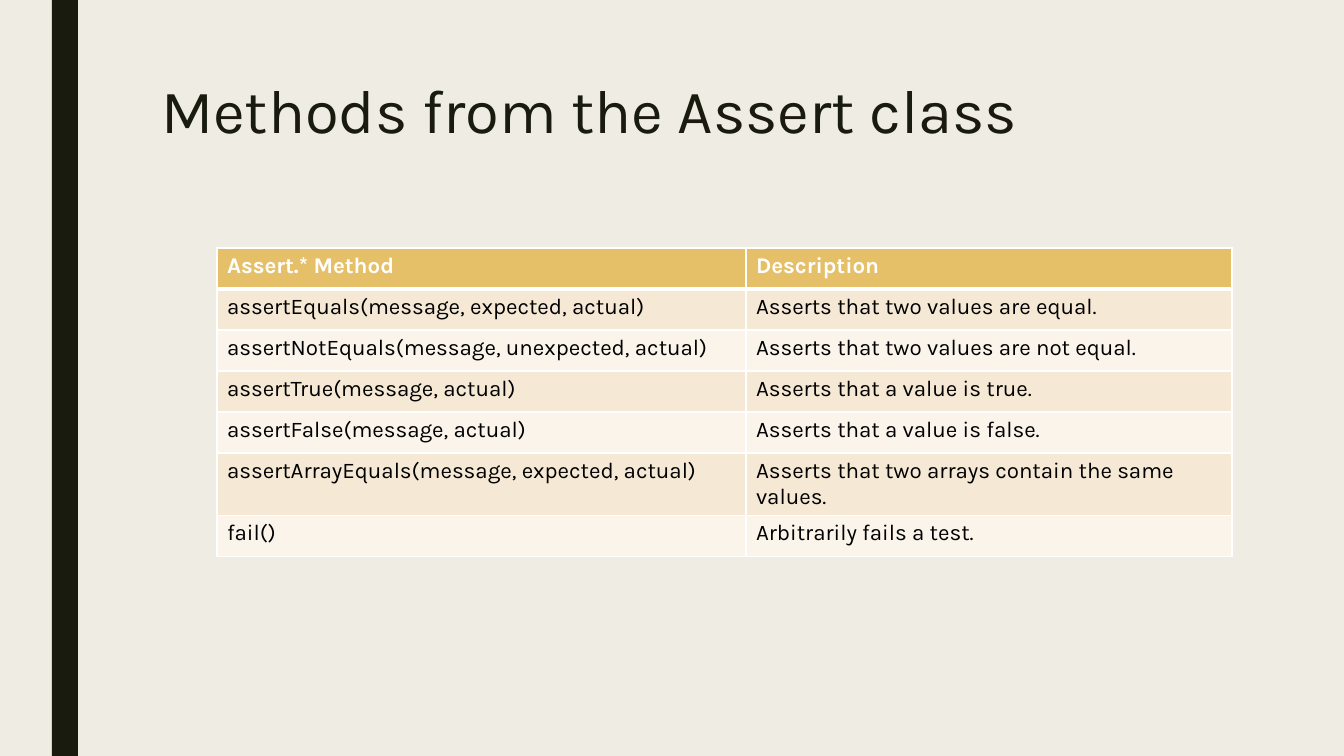
from typing import NamedTuple

from lxml.etree import SubElement
from pptx import Presentation
from pptx.dml.color import RGBColor
from pptx.enum.shapes import MSO_SHAPE as Preset
from pptx.enum.text import MSO_ANCHOR as Anchor, PP_ALIGN as Align
from pptx.oxml.ns import qn
from pptx.slide import Slide
from pptx.table import _Cell as Cell
from pptx.text.text import TextFrame
from pptx.util import Emu, Pt

SLIDE_WIDTH, SLIDE_HEIGHT = 1344, 756
EMU_PER_PX = 12192000 / SLIDE_WIDTH

FONT = "Karla"
CREAM = RGBColor(0xEF, 0xED, 0xE3)
INK = RGBColor(0x19, 0x1B, 0x0E)
GOLD = RGBColor(0xE6, 0xC0, 0x69)
SAND = RGBColor(0xF5, 0xE8, 0xD4)
IVORY = RGBColor(0xFA, 0xF4, 0xEB)
WHITE = RGBColor(0xFF, 0xFF, 0xFF)
BLACK = RGBColor(0x00, 0x00, 0x00)


class Box(NamedTuple):
    left: int
    top: int
    width: int
    height: int


class Method(NamedTuple):
    signature: str
    description: str


BAR = Box(52, 0, 26, SLIDE_HEIGHT)
TITLE = Box(151, 76, 1058, 163)
TABLE_LEFT, TABLE_TOP, ROW_HEIGHT = 217, 248, 41
COLUMN_WIDTHS = (529, 486)
HEADING = Method("Assert.* Method", "Description")
METHODS = (
    Method("assertEquals(message, expected, actual)", "Asserts that two values are equal."),
    Method("assertNotEquals(message, unexpected, actual)", "Asserts that two values are not equal."),
    Method("assertTrue(message, actual)", "Asserts that a value is true."),
    Method("assertFalse(message, actual)", "Asserts that a value is false."),
    Method("assertArrayEquals(message, expected, actual)", "Asserts that two arrays contain the same values."),
    Method("fail()", "Arbitrarily fails a test."),
)


def px(length: int) -> Emu:
    return Emu(round(length * EMU_PER_PX))


def write(frame: TextFrame, text: str, *, size: int, color: RGBColor,
          bold: bool = False, line_spacing: float = 1.0) -> None:
    paragraph = frame.paragraphs[0]
    paragraph.alignment = Align.LEFT
    paragraph.line_spacing = line_spacing
    run = paragraph.add_run()
    run.text = text
    run.font.name = FONT
    run.font.size = Pt(size)
    run.font.bold = bold
    run.font.color.rgb = color


def set_borders(cell: Cell, bottom: int) -> None:
    properties = cell._tc.get_or_add_tcPr()
    for position, (side, points) in enumerate(
            (("lnL", 1), ("lnR", 1), ("lnT", 1), ("lnB", bottom))):
        border = SubElement(properties, qn(f"a:{side}"), w=str(Pt(points)))
        fill = SubElement(border, qn("a:solidFill"))
        SubElement(fill, qn("a:srgbClr"), val=str(WHITE))
        properties.insert(position, border)


def draw_bar(slide: Slide) -> None:
    bar = slide.shapes.add_shape(Preset.RECTANGLE, *map(px, BAR))
    bar.shadow.inherit = False
    bar.fill.solid()
    bar.fill.fore_color.rgb = INK
    bar.line.fill.background()


def draw_title(slide: Slide) -> None:
    title = slide.shapes.title
    title.left, title.top, title.width, title.height = map(px, TITLE)
    title.text_frame.vertical_anchor = Anchor.TOP
    title.text_frame.word_wrap = True
    write(title.text_frame, "Methods from the Assert class",
          size=44, color=INK, line_spacing=0.89)


def draw_methods(slide: Slide) -> None:
    rows = (HEADING, *METHODS)
    methods = slide.shapes.add_table(
        len(rows), len(COLUMN_WIDTHS), px(TABLE_LEFT), px(TABLE_TOP),
        px(sum(COLUMN_WIDTHS)), px(ROW_HEIGHT * len(rows))).table
    for column, width in zip(methods.columns, COLUMN_WIDTHS):
        column.width = px(width)
    for index, (row, method) in enumerate(zip(methods.rows, rows)):
        row.height = px(ROW_HEIGHT)
        heading = index == 0
        band = GOLD if heading else SAND if index % 2 else IVORY
        for cell, text in zip(row.cells, method):
            cell.fill.solid()
            cell.fill.fore_color.rgb = band
            set_borders(cell, bottom=3 if heading else 1)
            write(cell.text_frame, text, size=16, bold=heading,
                  color=WHITE if heading else BLACK)


def main() -> None:
    deck = Presentation()
    deck.slide_width, deck.slide_height = px(SLIDE_WIDTH), px(SLIDE_HEIGHT)
    slide = deck.slides.add_slide(deck.slide_layouts.get_by_name("Title Only"))
    slide.background.fill.solid()
    slide.background.fill.fore_color.rgb = CREAM
    draw_bar(slide)
    draw_title(slide)
    draw_methods(slide)
    deck.save("out.pptx")


if __name__ == "__main__":
    main()
